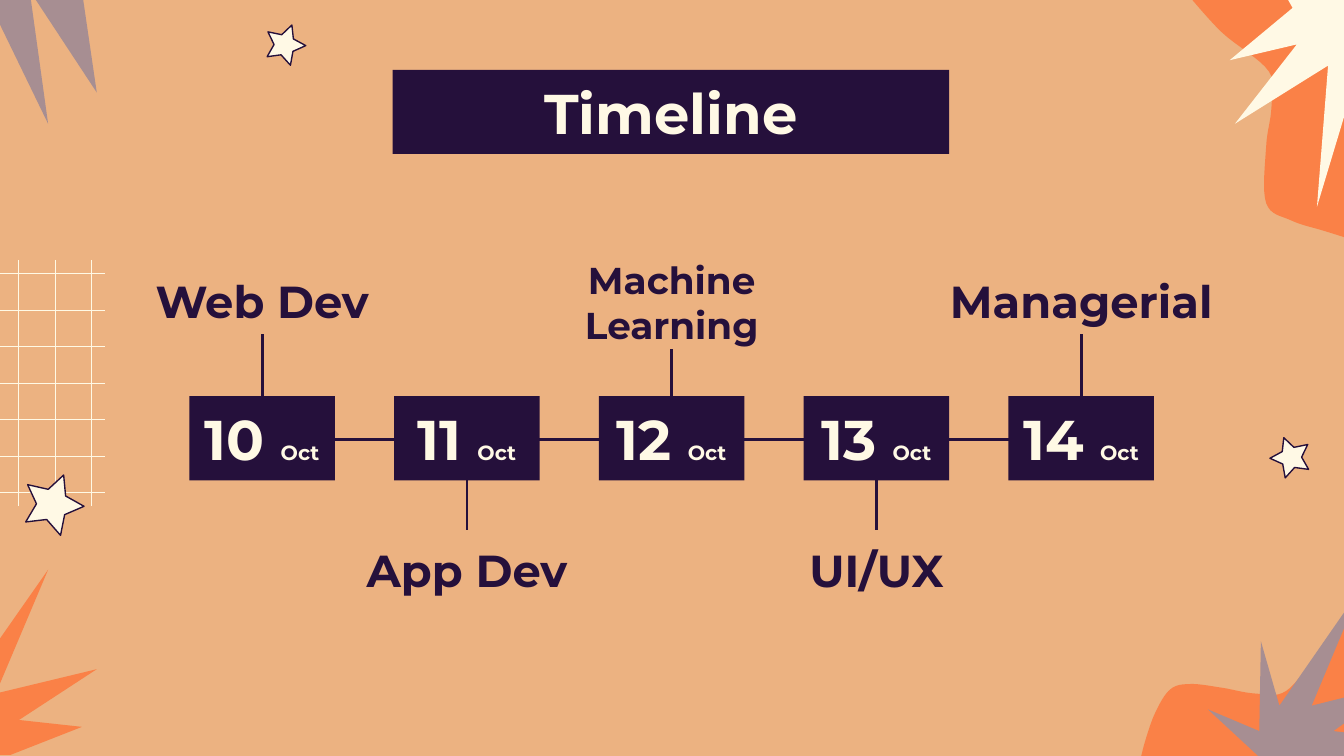
from dataclasses import dataclass
from math import cos, radians, sin
from typing import NamedTuple

from pptx import Presentation
from pptx.dml.color import RGBColor
from pptx.enum.shapes import MSO_CONNECTOR, MSO_SHAPE
from pptx.enum.text import MSO_ANCHOR, MSO_AUTO_SIZE, PP_ALIGN
from pptx.oxml.xmlchemy import OxmlElement
from pptx.util import Cm, Pt


@dataclass(frozen=True)
class Theme:
    sand: RGBColor = RGBColor(0xEC, 0xB2, 0x81)
    ink: RGBColor = RGBColor(0x25, 0x10, 0x3B)
    cream: RGBColor = RGBColor(0xFF, 0xF9, 0xE5)
    orange: RGBColor = RGBColor(0xFA, 0x81, 0x47)
    mauve: RGBColor = RGBColor(0xA7, 0x8E, 0x92)
    font: str = "Montserrat"
    big: int = 30
    label: int = 24
    long: int = 20
    small: int = 11
    rule: float = 1.5
    edge: float = 0.75
    hair: float = 0.4


Point = tuple[float, float]


class Event(NamedTuple):
    day: str
    name: str
    top: float
    high: float
    size: int


class Star(NamedTuple):
    x: float
    y: float
    size: float
    turn: float


class Blob(NamedTuple):
    knots: list[Point]
    ends: list[Point]


class Burst(NamedTuple):
    color: RGBColor
    points: list[Point]


THEME = Theme()
LEFT, TOP, WIDE, HIGH, STEP = 3.58, 7.49, 2.75, 1.59, 3.87
SPAN = 5.94

EVENTS = [
    Event("10", "Web Dev", 4.92, 1.4, THEME.label),
    Event("11", "App Dev", 10.01, 1.4, THEME.label),
    Event("12", "Machine Learning", 4.62, 1.98, THEME.long),
    Event("13", "UI/UX", 10.01, 1.4, THEME.label),
    Event("14", "Managerial", 4.92, 1.4, THEME.label),
]
STARS = [
    Star(24.4, 8.65, 0.4, 178),
    Star(5.38, 0.85, 0.4, 2),
    Star(0.99, 9.54, 0.6, 3),
]
BLOBS = [
    Blob([(25.63, 11.66), (24.97, 12.29), (24.31, 13.06), (23.72, 13.11),
          (23.09, 13), (22.5, 12.93), (22.12, 13.03), (21.84, 13.46),
          (21.64, 14.02), (21.51, 14.55)],
         [(25.27, 14.55), (25.63, 14.2)]),
    Blob([(22.38, -0.18), (23.09, 0.61), (23.98, 1.35), (24.03, 2.03),
          (23.93, 2.77), (23.93, 3.84), (24.41, 4.17), (25.04, 4.37),
          (25.78, 4.6)],
         [(25.78, -0.18)]),
]
BURSTS = [
    Burst(THEME.orange, [
        (0.91, 10.77), (-0.51, 12.8), (-0.51, 14.27), (0.2, 14.27),
        (1.55, 13.74), (0.36, 13.61), (1.83, 12.65), (-0.08, 13.11)]),
    Burst(THEME.mauve, [
        (25.63, 11.25), (24.18, 13.34), (23.83, 12.12), (23.8, 13.82),
        (22.83, 13.41), (23.93, 14.43), (23.75, 14.55), (25.07, 14.55),
        (25.04, 14.43), (25.63, 14.2), (25.63, 13.87), (25.2, 13.82),
        (25.63, 13.51), (25.63, 13.13), (24.79, 13.34), (25.63, 11.33)]),
    Burst(THEME.cream, [
        (24.26, -0.15), (24.43, 0.15), (23.24, 1.14), (24.51, 0.84),
        (23.34, 2.34), (25.1, 1.24), (24.89, 3.91), (25.76, 1.02),
        (25.78, 1.04), (25.78, -0.15)]),
    Burst(THEME.mauve, [
        (-0.71, -0.71), (-0.71, 3.12), (-0.64, 3.71), (-0.25, -0.05),
        (0.91, 2.34), (0.56, -0.18), (1.83, 1.75), (1.47, -0.71)]),
]


def curve(knots: list[Point], steps: int = 8) -> list[Point]:
    ring = [knots[0], *knots, knots[-1]]
    path = []
    for a, b, c, d in zip(ring, ring[1:], ring[2:], ring[3:]):
        for t in (n / steps for n in range(steps)):
            path.append(tuple(
                q + t * ((r - p) + t * ((2 * p - 5 * q + 4 * r - s)
                         + t * (3 * q - p - 3 * r + s))) / 2
                for p, q, r, s in zip(a, b, c, d)))
    return path + [knots[-1]]


def tips(star: Star) -> list[Point]:
    points = []
    for n in range(10):
        reach = star.size * (0.5 if n % 2 else 1)
        angle = radians(star.turn + 36 * n)
        points.append((star.x + reach * cos(angle), star.y + reach * sin(angle)))
    return points


def outline(shapes, points: list[Point], color: RGBColor, edged: bool = False) -> None:
    spots = [(Cm(x), Cm(y)) for x, y in points]
    pen = shapes.build_freeform(*spots[0])
    pen.add_line_segments(spots[1:], close=True)
    shape = pen.convert_to_shape()
    shape.shadow.inherit = False
    shape.fill.solid()
    shape.fill.fore_color.rgb = color
    if edged:
        shape.line.color.rgb = THEME.ink
        shape.line.width = Pt(THEME.edge)
    else:
        shape.line.fill.background()


def rule(shapes, start: Point, end: Point, color: RGBColor, width: float) -> None:
    line = shapes.add_connector(
        MSO_CONNECTOR.STRAIGHT, *(Cm(v) for v in (*start, *end)))
    line.line.color.rgb = color
    line.line.width = Pt(width)
    line._element.spPr.append(OxmlElement("a:effectLst"))


def write(shape, parts: list[tuple[str, int]], color: RGBColor, anchor: MSO_ANCHOR) -> None:
    frame = shape.text_frame
    frame.word_wrap = True
    frame.auto_size = MSO_AUTO_SIZE.NONE
    frame.vertical_anchor = anchor
    frame.margin_left = frame.margin_right = Cm(0.25)
    frame.margin_top = frame.margin_bottom = Cm(0.25)
    para = frame.paragraphs[0]
    para.alignment = PP_ALIGN.CENTER
    para.font.name = THEME.font
    para.font.bold = True
    para.font.color.rgb = color
    for text, size in parts:
        run = para.add_run()
        run.text = text
        run.font.size = Pt(size)


def paint(shape, parts: list[tuple[str, int]]) -> None:
    shape.fill.solid()
    shape.fill.fore_color.rgb = THEME.ink
    shape.line.fill.background()
    write(shape, parts, THEME.cream, MSO_ANCHOR.MIDDLE)


def draw(shapes, event: Event, left: float) -> None:
    mid = left + WIDE / 2
    label = shapes.add_textbox(
        Cm(mid - SPAN / 2), Cm(event.top), Cm(SPAN), Cm(event.high))
    write(label, [(event.name, event.size)], THEME.ink, MSO_ANCHOR.TOP)
    above = event.top < TOP
    start = TOP if above else TOP + HIGH
    end = event.top + event.high if above else event.top
    rule(shapes, (mid, start), (mid, end), THEME.ink, THEME.rule)
    box = shapes.add_shape(
        MSO_SHAPE.RECTANGLE, Cm(left), Cm(TOP), Cm(WIDE), Cm(HIGH))
    box.shadow.inherit = False
    paint(box, [(event.day + " ", THEME.big), ("Oct", THEME.small)])


def main() -> None:
    deck = Presentation()
    deck.slide_width, deck.slide_height = Cm(25.4), Cm(14.29)
    slide = deck.slides.add_slide(deck.slide_layouts[5])
    slide.background.fill.solid()
    slide.background.fill.fore_color.rgb = THEME.sand
    shapes = slide.shapes

    title = shapes.title
    title.left, title.top, title.width, title.height = (
        Cm(v) for v in (7.42, 1.32, 10.52, HIGH))
    paint(title, [("Timeline", THEME.big)])

    for n in range(3):
        x = 0.35 + 0.69 * n
        rule(shapes, (x, 4.91), (x, 9.57), THEME.cream, THEME.hair)
    for n in range(7):
        y = 5.17 + 0.69 * n
        rule(shapes, (-2.64, y), (1.98, y), THEME.cream, THEME.hair)
    for blob in BLOBS:
        outline(shapes, curve(blob.knots) + blob.ends, THEME.orange)
    for burst in BURSTS:
        outline(shapes, burst.points, burst.color)
    for star in STARS:
        outline(shapes, tips(star), THEME.cream, edged=True)

    for n in (0, 2):
        left = LEFT + STEP * n
        rule(shapes, (left + WIDE, 8.3), (left + 2 * STEP, 8.3), THEME.ink, THEME.rule)
    for n, event in enumerate(EVENTS):
        draw(shapes, event, LEFT + STEP * n)
    deck.save("out.pptx")


if __name__ == "__main__":
    main()
